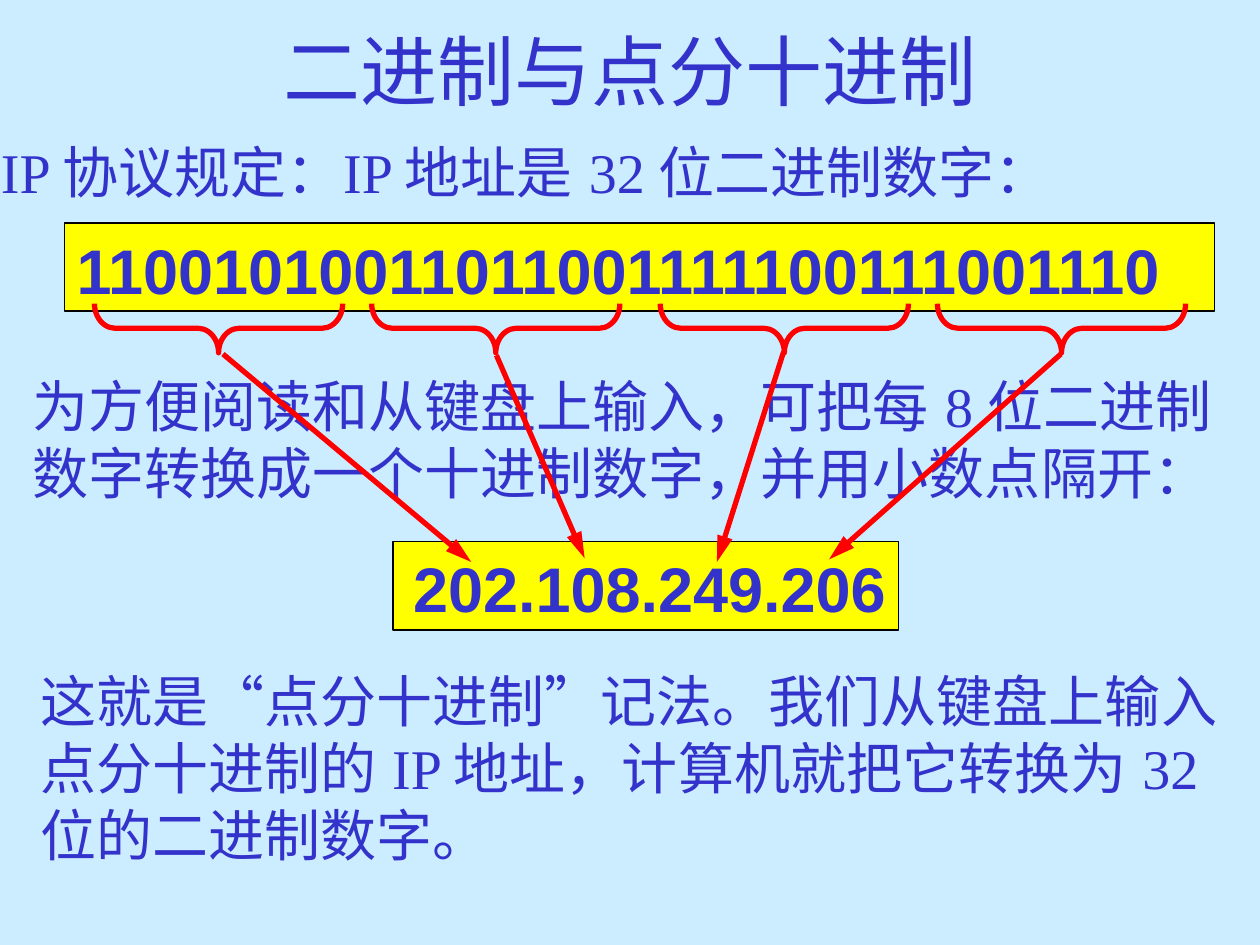
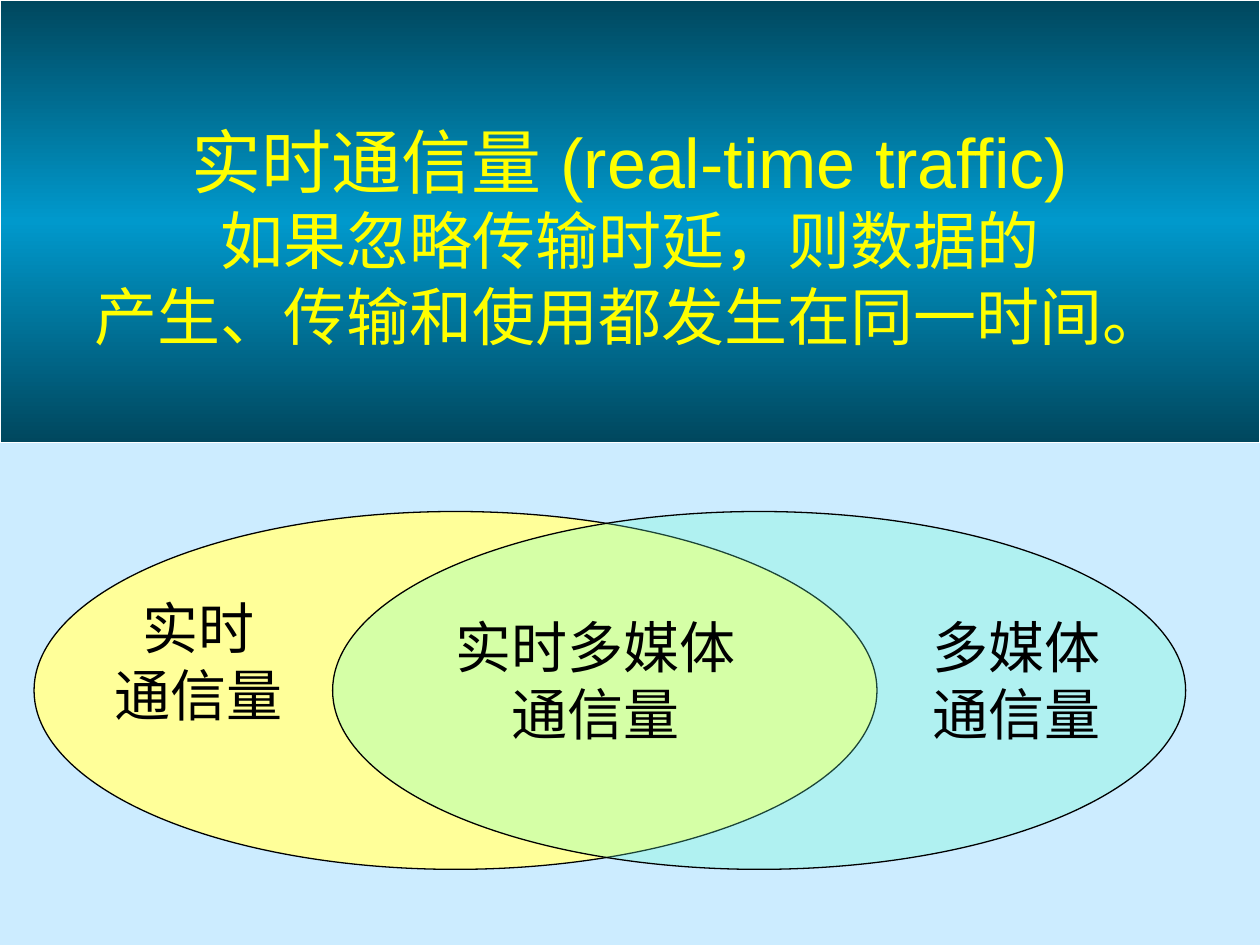
from copy import deepcopy
from dataclasses import dataclass

from lxml.etree import SubElement
from pptx import Presentation
from pptx.dml.color import RGBColor
from pptx.enum.shapes import MSO_CONNECTOR, MSO_SHAPE
from pptx.enum.text import MSO_ANCHOR, MSO_AUTO_SIZE, PP_ALIGN
from pptx.oxml.ns import qn
from pptx.shapes.autoshape import Shape
from pptx.slide import Slide
from pptx.util import Inches, Pt

WIDTH, HEIGHT = Inches(10), Inches(7.5)
COLS, ROWS = 100, 75
COLORS = {
    "paper": "CCECFF",
    "ink": "3333CC",
    "black": "000000",
    "white": "FFFFFF",
    "yellow": "FFFF00",
    "red": "FF0000",
    "deep": "00475E",
    "sea": "0099CC",
    "cream": "FFFF99",
    "mint": "66FFCC",
}
SANS, SERIF, QUOTE = "Arial", "Times New Roman", "Noto Sans CJK SC"


@dataclass(frozen=True)
class Area:
    col: float
    row: float
    cols: float
    rows: float

    def place(self) -> tuple[int, int, int, int]:
        return across(self.col), down(self.row), across(self.cols), down(self.rows)


@dataclass(frozen=True)
class Piece:
    text: str
    font: str = SANS
    size: float = 32


@dataclass(frozen=True)
class Label:
    area: Area
    pieces: tuple[Piece, ...]
    color: str = "ink"
    bold: bool = False
    wrap: bool = True
    middle: bool = False


@dataclass(frozen=True)
class Octet:
    col: float
    start: tuple[float, float]
    end: tuple[float, float]


def across(cols: float) -> int:
    return round(WIDTH * cols / COLS)


def down(rows: float) -> int:
    return round(HEIGHT * rows / ROWS)


def tint(name: str) -> RGBColor:
    return RGBColor.from_string(COLORS[name])


def add_page(deck: Presentation) -> Slide:
    page = deck.slides.add_slide(deck.slide_layouts[6])
    page.background.fill.solid()
    page.background.fill.fore_color.rgb = tint("paper")
    return page


def add_label(page: Slide, label: Label) -> None:
    frame = page.shapes.add_textbox(*label.area.place()).text_frame
    frame.word_wrap = label.wrap
    para = frame.paragraphs[0]
    para._p.get_or_add_pPr().set("hangingPunct", "0")
    if label.middle:
        frame.vertical_anchor = MSO_ANCHOR.MIDDLE
        para.alignment = PP_ALIGN.CENTER
    else:
        frame.auto_size = MSO_AUTO_SIZE.SHAPE_TO_FIT_TEXT
    for piece in label.pieces:
        for count, line in enumerate(piece.text.split("\n")):
            if count:
                para.add_line_break()
            if not line:
                continue
            run = para.add_run()
            run.text = line
            run.font.name = piece.font
            run.font.size = Pt(piece.size)
            run.font.bold = label.bold
            run.font.color.rgb = tint(label.color)
            asian = QUOTE if piece.font == QUOTE else SANS
            SubElement(run.font._element, qn("a:ea"), typeface=asian)


def add_form(page: Slide, kind: MSO_SHAPE, area: Area, fill: str | None,
             line: str = "black", weight: float = 0.75) -> Shape:
    form = page.shapes.add_shape(kind, *area.place())
    form.shadow.inherit = False
    if fill:
        form.fill.solid()
        form.fill.fore_color.rgb = tint(fill)
    else:
        form.fill.background()
    form.line.color.rgb = tint(line)
    form.line.width = Pt(weight)
    return form


def add_brace(page: Slide, col: float) -> None:
    span, depth, top = 19.7, 3.9, 24.1
    area = Area(col + (span - depth) / 2, top + (depth - span) / 2, depth, span)
    brace = add_form(page, MSO_SHAPE.LEFT_BRACE, area, None, "red", 3)
    brace.adjustments[0] = 0.42
    brace.rotation = 270


def add_arrow(page: Slide, start: tuple[float, float], end: tuple[float, float]) -> None:
    arrow = page.shapes.add_connector(
        MSO_CONNECTOR.STRAIGHT,
        across(start[0]), down(start[1]), across(end[0]), down(end[1]))
    arrow.line.color.rgb = tint("red")
    arrow.line.width = Pt(3)
    SubElement(arrow.line._get_or_add_ln(), qn("a:tailEnd"),
               type="triangle", w="med", len="lg")
    SubElement(arrow._element.spPr, qn("a:effectLst"))


def shade(form: Shape, edge: str, core: str) -> None:
    form.fill.gradient()
    form.fill.gradient_angle = 90
    stops = form.fill.gradient_stops
    for stop, name, place in zip(stops, (edge, core), (0, 0.5)):
        stop.color.rgb = tint(name)
        stop.position = place
    first = form._element.spPr.find(".//" + qn("a:gs"))
    last = deepcopy(first)
    last.set("pos", "100000")
    first.getparent().append(last)


def fade(form: Shape, share: int) -> None:
    color = form._element.spPr.find(qn("a:solidFill"))[0]
    SubElement(color, qn("a:alpha"), val=str(share * 1000))


def draw_dotted(deck: Presentation) -> None:
    page = add_page(deck)
    bits = Area(5.1, 17.7, 91.3, 7)
    dots = Area(31.2, 43, 40.1, 7)
    for area in (bits, dots):
        add_form(page, MSO_SHAPE.RECTANGLE, area, "yellow")
    labels = (
        Label(Area(-0.9, 10.4, 91, 6.4), (
            Piece("IP 协议规定：IP ", SERIF),
            Piece("地址是 "),
            Piece("32 ", SERIF),
            Piece("位二进制数字："),
        ), wrap=False),
        Label(Area(bits.col, 17.9, 91, 7),
              (Piece("11001010011011001111100111001110", size=36),),
              bold=True, wrap=False),
        Label(Area(1.6, 29, 95.7, 11.7), (
            Piece("为方便阅读和从键盘上输入，可把每 "),
            Piece("8 ", SERIF),
            Piece("位二进制数字"),
            Piece("转换成一个十进制数字，并用小数点", SERIF),
            Piece("隔开："),
        )),
        Label(Area(31.8, 43.1, 40, 7),
              (Piece("202.108.249.206", size=36),), bold=True, wrap=False),
        Label(Area(2.2, 52.4, 97.8, 17), (
            Piece("这就是"),
            Piece("“", QUOTE),
            Piece("点分十进制"),
            Piece("”", QUOTE),
            Piece("记法。我们从键盘上输入点分十进制的 "),
            Piece("IP ", SERIF),
            Piece("地址，计算机就把它转换为 "),
            Piece("32", SERIF),
            Piece("位的二进制数字。"),
        )),
        Label(Area(5, 0.5, 90, 10.1),
              (Piece("二进制与点分十进制", size=44),), middle=True),
    )
    for label in labels:
        add_label(page, label)
    octets = (
        Octet(7.5, (17.7, 28.1), (37.4, 44.6)),
        Octet(29.5, (39.4, 28.2), (46.4, 44.3)),
        Octet(52.4, (62.2, 27.9), (56.9, 44.6)),
        Octet(74.4, (84.2, 28.1), (65.8, 44.4)),
    )
    for octet in octets:
        add_brace(page, octet.col)
    for octet in octets:
        add_arrow(page, octet.start, octet.end)


def draw_traffic(deck: Presentation) -> None:
    page = add_page(deck)
    band = add_form(page, MSO_SHAPE.RECTANGLE, Area(0, 0, COLS, 35.1), "deep", "white")
    shade(band, "deep", "sea")
    add_label(page, Label(Area(5, 5.4, 90, 26.6), (
        Piece("实时通信量 (real-time traffic)\n", size=40),
        Piece("如果忽略传输时延，则数据的\n产生、传输和使用都发生在同一时间。", size=36),
    ), "yellow", middle=True))
    add_form(page, MSO_SHAPE.OVAL, Area(2.7, 40.6, 66.9, 28.4), "cream")
    media = add_form(page, MSO_SHAPE.OVAL, Area(26.4, 40.6, 67.7, 28.4), "mint")
    fade(media, 27)
    for col, row, text in (
        (-3.5, 46.2, "实时\n通信量"),
        (61.4, 47.7, "多媒体\n通信量"),
        (28, 47.7, "实时多媒体\n通信量"),
    ):
        add_label(page, Label(Area(col, row, 38.6, 12.5), (Piece(text),),
                              "black", middle=True))


def main() -> None:
    deck = Presentation()
    deck.slide_width, deck.slide_height = WIDTH, HEIGHT
    draw_dotted(deck)
    draw_traffic(deck)
    deck.save("out.pptx")


if __name__ == "__main__":
    main()
